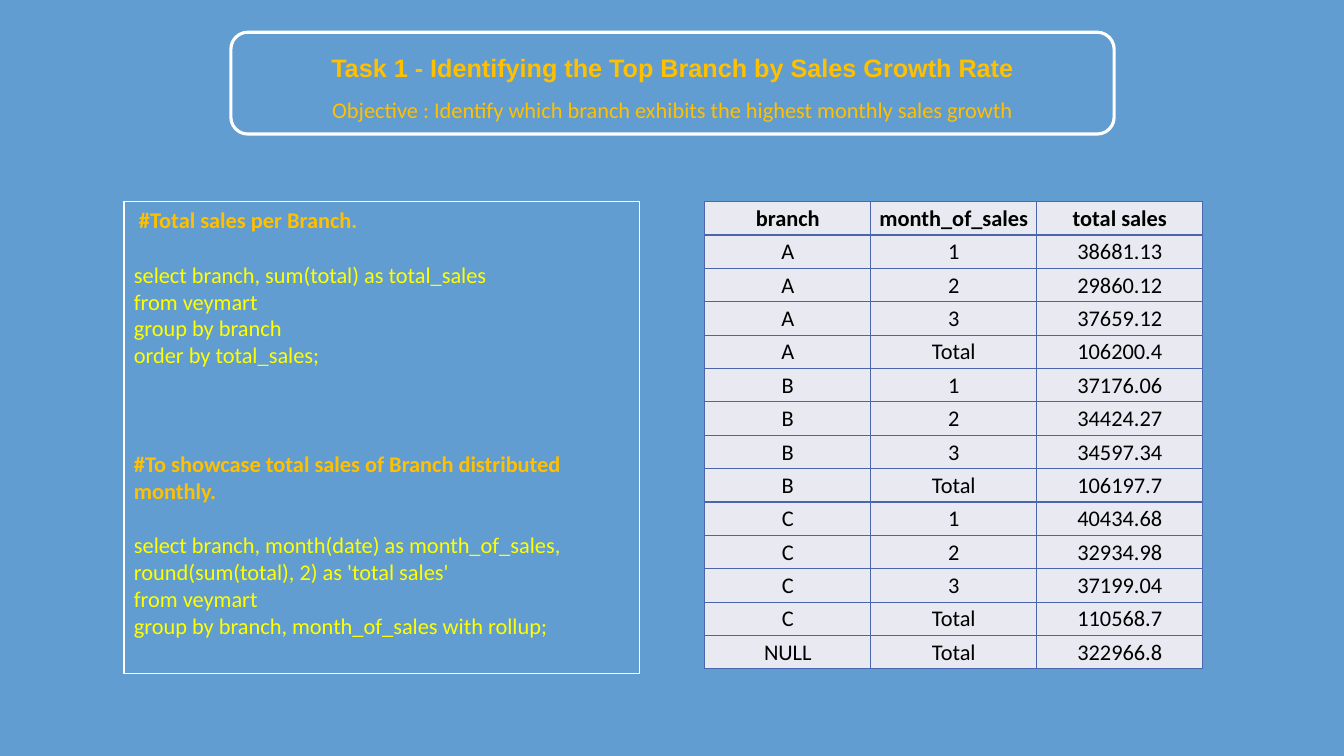
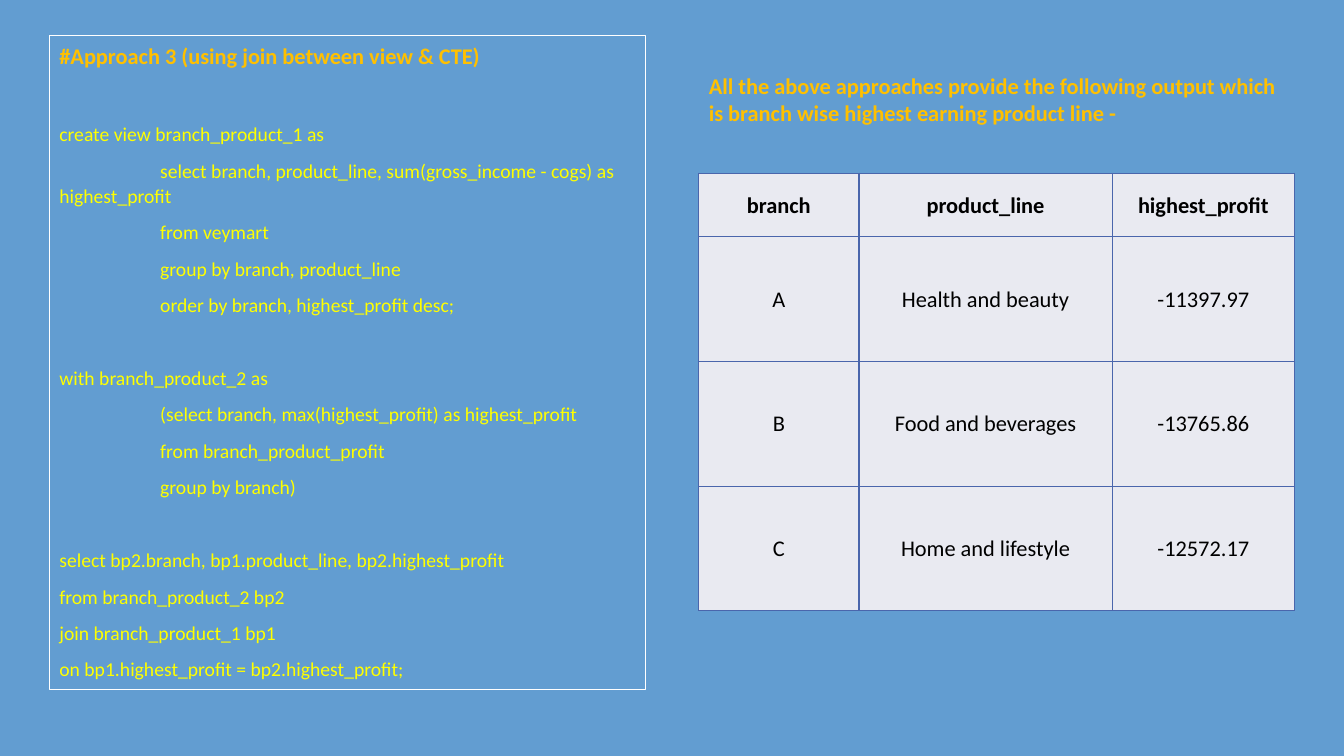
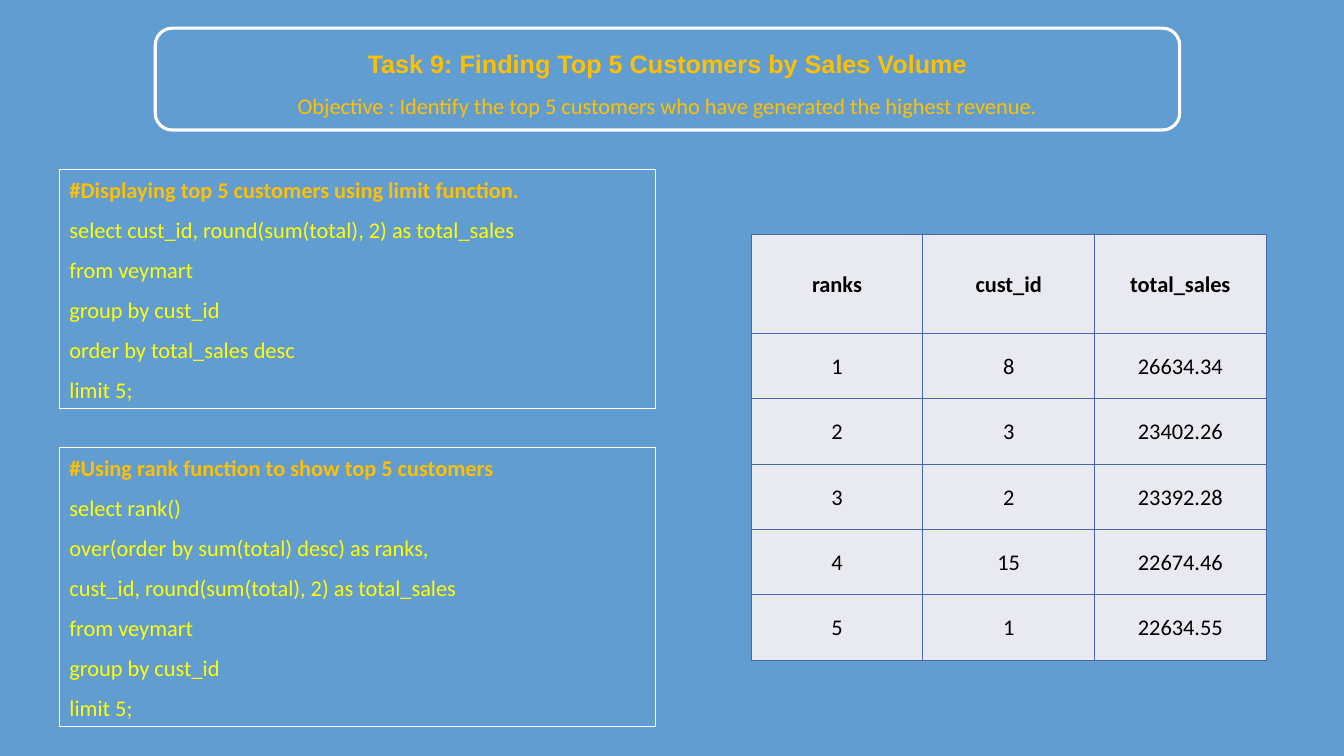
"""Build three slides of SQL sales tasks, each with queries and a result table."""
import lxml.etree
import pptx
import pptx.dml.color
import pptx.enum.shapes
import pptx.enum.text
import pptx.oxml
import pptx.oxml.ns
import pptx.util

COLORS = {"sky": "629DD1", "frame": "FFFFFF", "heading": "FFC000", "code": "FFFF00",
          "cell": "E9EAF1", "grid": "4A66AC", "ink": "000000"}
RGB = {name: pptx.dml.color.RGBColor.from_string(value) for name, value in COLORS.items()}
Pt = pptx.util.Pt
TOP = pptx.enum.text.MSO_ANCHOR.TOP
MIDDLE = pptx.enum.text.MSO_ANCHOR.MIDDLE
LEFT = pptx.enum.text.PP_ALIGN.LEFT
CENTER = pptx.enum.text.PP_ALIGN.CENTER

deck = pptx.Presentation()
deck.slide_width, deck.slide_height = pptx.util.Inches(13.33), pptx.util.Inches(7.5)
deck.slide_master.background.fill.solid()
deck.slide_master.background.fill.fore_color.rgb = RGB["sky"]


def area(left, top, width, height):
    """Turn percentages of the slide into lengths."""
    across, down = deck.slide_width / 100, deck.slide_height / 100
    return [int(left * across), int(top * down), int(width * across), int(height * down)]


def write(frame, index, text, size, color, bold=False, font="Calibri", align=LEFT):
    """Write one paragraph into a text frame and return it."""
    paragraph = frame.paragraphs[0] if index == 0 else frame.add_paragraph()
    paragraph.alignment = align
    run = paragraph.add_run()
    run.text = text
    run.font.size, run.font.bold, run.font.name = Pt(size), bold, font
    run.font.color.rgb = RGB[color]
    return paragraph


TASKS = [
    {
        "title": ["Task 1 - Identifying the Top Branch by Sales Growth Rate",
                  "Objective : Identify which branch exhibits the highest monthly sales growth"],
        "title_area": (17.18, 4.27, 65.72, 13.47),
        "queries": [{
            "area": (9.23, 26.67, 38.33, 62.4), "size": 16, "spacing": 1, "after": 0,
            "blocks": [
                (0, [" #Total sales per Branch."]),
                (19.5, ["select branch, sum(total) as total_sales", "from veymart",
                        "group by branch", "order by total_sales;"]),
                (58.5, ["#To showcase total sales of Branch distributed monthly."]),
                (19.5, ["select branch, month(date) as month_of_sales,",
                        "round(sum(total), 2) as 'total sales'", "from veymart",
                        "group by branch, month_of_sales with rollup;"]),
            ],
        }],
        "result_area": (52.44, 26.67, 37.06, 61.87),
        "columns": [1, 1, 1],
        "header_share": 1,
        "result": [
            ("branch", "month_of_sales", "total sales"),
            ("A", "1", "38681.13"), ("A", "2", "29860.12"),
            ("A", "3", "37659.12"), ("A", "Total", "106200.4"),
            ("B", "1", "37176.06"), ("B", "2", "34424.27"),
            ("B", "3", "34597.34"), ("B", "Total", "106197.7"),
            ("C", "1", "40434.68"), ("C", "2", "32934.98"),
            ("C", "3", "37199.04"), ("C", "Total", "110568.7"),
            ("NULL", "Total", "322966.8"),
        ],
    },
    {
        "title": ["All the above approaches provide the following output which "
                  "is branch wise highest earning product line -"],
        "title_area": (51.99, 8.93, 44.34, 8.53),
        "queries": [{
            "area": (3.68, 4.67, 44.34, 86.53), "size": 14, "spacing": 1.07, "after": 8,
            "blocks": [
                (0, ["#Approach 3 (using join between view & CTE)"]),
                (28.9, ["create view branch_product_1 as",
                        "\tselect branch, product_line, sum(gross_income - cogs) as highest_profit",
                        "\tfrom veymart", "\tgroup by branch, product_line",
                        "\torder by branch, highest_profit desc;"]),
                (26.3, ["with branch_product_2 as",
                        "\t(select branch, max(highest_profit) as highest_profit",
                        "\tfrom branch_product_profit", "\tgroup by branch)"]),
                (26.3, ["select bp2.branch, bp1.product_line, bp2.highest_profit",
                        "from branch_product_2 bp2", "join branch_product_1 bp1",
                        "on bp1.highest_profit = bp2.highest_profit;"]),
            ],
        }],
        "result_area": (51.99, 22.93, 44.34, 57.87),
        "columns": [1.59, 2.51, 1.81],
        "header_share": 0.51,
        "result": [
            ("branch", "product_line", "highest_profit"),
            ("A", "Health and beauty", "-11397.97"),
            ("B", "Food and beverages", "-13765.86"),
            ("C", "Home and lifestyle", "-12572.17"),
        ],
    },
    {
        "title": ["Task 9: Finding Top 5 Customers by Sales Volume",
                  "Objective : Identify the top 5 customers who have generated the highest revenue."],
        "title_area": (11.55, 3.73, 76.22, 13.47),
        "queries": [
            {
                "area": (4.43, 22.4, 44.34, 31.6), "size": 16, "spacing": 1.07, "after": 8,
                "blocks": [(0, ["#Displaying top 5 customers using limit function.",
                                "select cust_id, round(sum(total), 2) as total_sales",
                                "from veymart", "group by cust_id",
                                "order by total_sales desc", "limit 5;"])],
            },
            {
                "area": (4.43, 59.2, 44.34, 36.93), "size": 16, "spacing": 1.07, "after": 8,
                "blocks": [(0, ["#Using rank function to show top 5 customers",
                                "select rank()", "over(order by sum(total) desc) as ranks,",
                                "cust_id, round(sum(total), 2) as total_sales",
                                "from veymart", "group by cust_id", "limit 5;"])],
            },
        ],
        "result_area": (55.89, 31.07, 38.33, 56.27),
        "columns": [1, 1, 1],
        "header_share": 1.51,
        "result": [
            ("ranks", "cust_id", "total_sales"),
            ("1", "8", "26634.34"), ("2", "3", "23402.26"), ("3", "2", "23392.28"),
            ("4", "15", "22674.46"), ("5", "1", "22634.55"),
        ],
    },
]

for task in TASKS:
    slide = deck.slides.add_slide(deck.slide_layouts.get_by_name("Title Only"))
    title = slide.shapes.title
    title.left, title.top, title.width, title.height = area(*task["title_area"])
    title.text_frame.word_wrap = True
    title.text_frame.auto_size = pptx.enum.text.MSO_AUTO_SIZE.NONE
    title.text_frame.vertical_anchor = TOP
    if len(task["title"]) == 2:
        banner = slide.shapes.add_shape(
            pptx.enum.shapes.MSO_SHAPE.ROUNDED_RECTANGLE, *area(*task["title_area"]))
        banner.shadow.inherit = False
        banner.fill.background()
        banner.line.color.rgb, banner.line.width = RGB["frame"], Pt(2.25)
        name, objective = task["title"]
        write(title.text_frame, 0, name, 18, "heading", True, "Arial", CENTER).line_spacing = 1.5
        write(title.text_frame, 1, objective, 16, "heading", align=CENTER).line_spacing = 1.5
    else:
        write(title.text_frame, 0, task["title"][0], 16, "heading", True)

    for query in task["queries"]:
        panel = slide.shapes.add_textbox(*area(*query["area"]))
        panel.line.color.rgb, panel.line.width = RGB["frame"], Pt(0.75)
        panel.text_frame.word_wrap = True
        panel.text_frame.vertical_anchor = TOP
        count = 0
        for gap, lines in query["blocks"]:
            for position, line in enumerate(lines):
                heading = line.strip().startswith("#")
                paragraph = write(panel.text_frame, count, line.lstrip("\t"),
                                  16 if heading else query["size"],
                                  "heading" if heading else "code", heading)
                paragraph.line_spacing = query["spacing"]
                paragraph.space_before = Pt(gap if position == 0 else 0)
                paragraph.space_after = Pt(query["after"])
                if line.startswith("\t"):
                    properties = paragraph._p.get_or_add_pPr()
                    properties.set("marL", "0")
                    properties.set("indent", str(pptx.util.Inches(1)))
                count += 1

    records = task["result"]
    place = area(*task["result_area"])
    result = slide.shapes.add_table(len(records), len(task["columns"]), *place).table
    for column, share in zip(result.columns, task["columns"]):
        column.width = int(place[2] * share / sum(task["columns"]))
    row_height = place[3] / (len(records) - 1 + task["header_share"])
    for r, record in enumerate(records):
        result.rows[r].height = int(row_height * (task["header_share"] if r == 0 else 1))
        for c, value in enumerate(record):
            cell = result.cell(r, c)
            cell.margin_left = cell.margin_right = cell.margin_top = pptx.util.Inches(0.01)
            cell.margin_bottom = 0
            cell.vertical_anchor = MIDDLE
            write(cell.text_frame, 0, value, 16, "ink", r == 0, align=CENTER)
            for side in ("lnL", "lnR", "lnT", "lnB"):
                border = lxml.etree.SubElement(cell._tc.get_or_add_tcPr(),
                                               pptx.oxml.ns.qn("a:" + side), w=str(Pt(1)))
                paint = lxml.etree.SubElement(border, pptx.oxml.ns.qn("a:solidFill"))
                lxml.etree.SubElement(paint, pptx.oxml.ns.qn("a:srgbClr"), val=COLORS["grid"])
            cell.fill.solid()
            cell.fill.fore_color.rgb = RGB["cell"]

deck.save("out.pptx")
